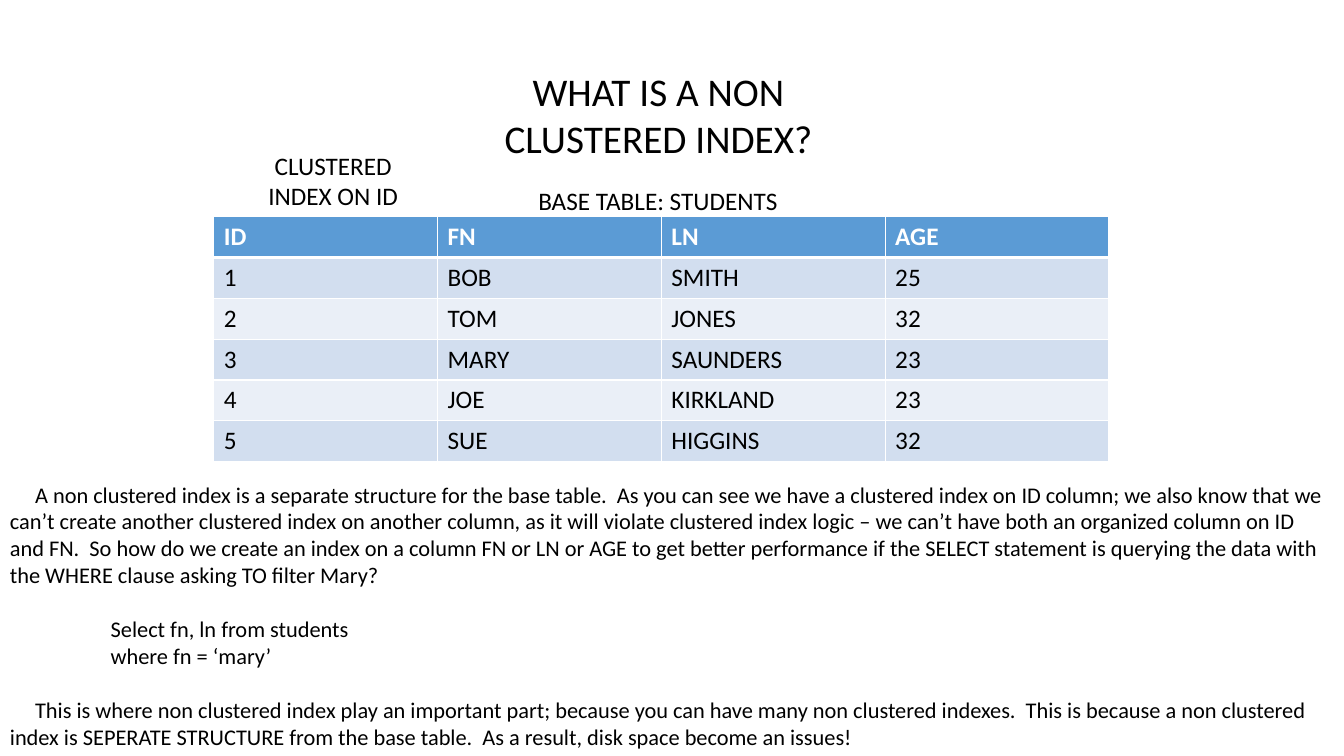
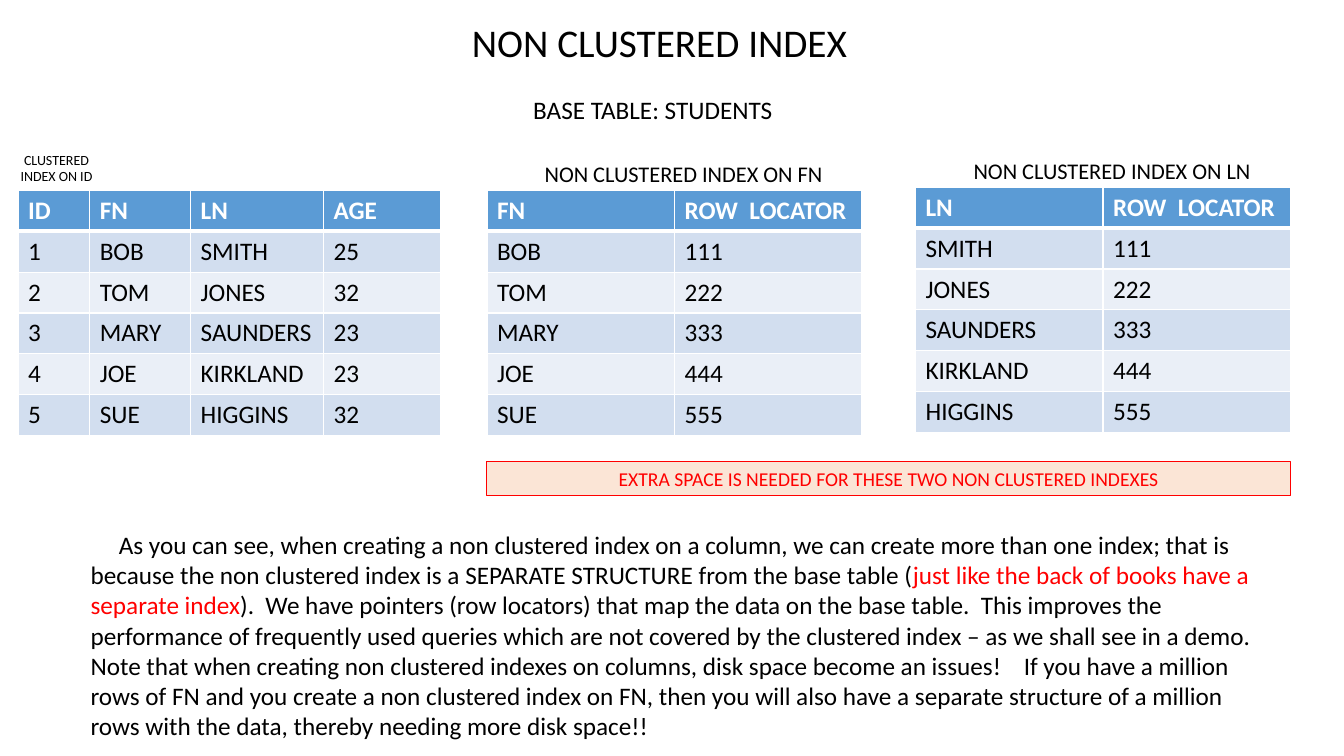
from dataclasses import dataclass

from lxml.etree import SubElement
from pptx import Presentation
from pptx.dml.color import RGBColor
from pptx.enum.shapes import MSO_SHAPE
from pptx.enum.text import MSO_ANCHOR, PP_ALIGN
from pptx.oxml.ns import qn
from pptx.util import Pt

PX = 9144  # 100 px to the inch
FONT = "Calibri"
BLACK = RGBColor(0x00, 0x00, 0x00)
WHITE = RGBColor(0xFF, 0xFF, 0xFF)
RED = RGBColor(0xFF, 0x00, 0x00)
PEACH = RGBColor(0xFB, 0xE5, 0xD6)
HEADER_BLUE = RGBColor(0x5B, 0x9B, 0xD5)
BANDS = (RGBColor(0xD2, 0xDE, 0xEF), RGBColor(0xEA, 0xEF, 0xF7))
ROW_HEIGHT = 41 * PX - PX // 2


@dataclass
class Paragraph:
    """Runs of (text, colour), with indents in px and space before in points."""
    runs: list
    left: int = 0
    first_line: int = 0
    before: float = 0


STUDENTS = [
    ("ID", "FN", "LN", "AGE"),
    ("1", "BOB", "SMITH", "25"),
    ("2", "TOM", "JONES", "32"),
    ("3", "MARY", "SAUNDERS", "23"),
    ("4", "JOE", "KIRKLAND", "23"),
    ("5", "SUE", "HIGGINS", "32"),
]
LOCATORS = ("ROW  LOCATOR", "111", "222", "333", "444", "555")

BASE_TABLE = "BASE TABLE: STUDENTS"
CLUSTERED = "CLUSTERED INDEX ON ID"
QUESTION = [
    Paragraph([(
        "A non clustered index is a separate structure for the base table.  As you can see we "
        "have a clustered index on ID column; we also know that we can’t create another "
        "clustered index on another column, as it will violate clustered index logic – we can’t "
        "have both an organized column on ID and FN.  So how do we create an index on a column "
        "FN or LN or AGE to get better performance if the SELECT statement is querying the data "
        "with the WHERE clause asking TO filter Mary?", BLACK)], first_line=25),
    Paragraph([("Select fn, ln from students", BLACK)], left=100, before=19.5),
    Paragraph([("where fn = ‘mary’", BLACK)], left=100),
    Paragraph([(
        "This is where non clustered index play an important part; because you can have many "
        "non clustered indexes.  This is because a non clustered index is SEPERATE STRUCTURE "
        "from the base table.  As a result, disk space become an issues!", BLACK)],
        first_line=25, before=19.5),
]
EXPLANATION = [Paragraph([
    ("As you can see, when creating a non clustered index on a column, we can create more than "
     "one index; that is because the non clustered index is a SEPARATE STRUCTURE from the base "
     "table (", BLACK),
    ("just like the back of books have a separate index", RED),
    (").  We have pointers (row locators) that map the data on the base table.  This improves "
     "the performance of frequently used queries which are not covered by the clustered index "
     "– as we shall see in a demo. Note that when creating non clustered indexes on columns, "
     "disk space become an issues!    If you have a million rows of FN and you create a non "
     "clustered index on FN, then you will also have a separate structure of a million rows "
     "with the data, thereby needing more disk space!!", BLACK)], first_line=28)]
SPACE_NOTE = "EXTRA SPACE IS NEEDED FOR THESE TWO NON CLUSTERED INDEXES"

# Column of STUDENTS that is indexed, left and top of its table
INDEXES = [(1, 483, 189), (2, 908, 186)]
INDEX_COLUMNS = (186, 186)


def write(frame, content, size=18, color=BLACK, bold=False, align=PP_ALIGN.LEFT):
    """Fill a text frame from a string or a list of Paragraphs."""
    if isinstance(content, str):
        content = [Paragraph([(content, color)])]
    frame.word_wrap = True
    for number, part in enumerate(content):
        paragraph = frame.add_paragraph() if number else frame.paragraphs[0]
        paragraph.alignment = align
        if part.before:
            paragraph.space_before = Pt(part.before)
        properties = paragraph._p.get_or_add_pPr()
        properties.set("marL", str(part.left * PX))
        properties.set("indent", str(part.first_line * PX))
        for text, run_color in part.runs:
            run = paragraph.add_run()
            run.text = text
            run.font.name = FONT
            run.font.size = Pt(size)
            run.font.bold = bold
            run.font.color.rgb = run_color


def add_text(slide, box, content, **text_format):
    textbox = slide.shapes.add_textbox(*(length * PX for length in box))
    write(textbox.text_frame, content, **text_format)


def add_title(slide, left, top, text):
    add_text(slide, (left, top, 430, 104), text, size=28, align=PP_ALIGN.CENTER)


def add_borders(cell, bottom):
    properties = cell._tc.get_or_add_tcPr()
    for side, width in (("L", 1), ("R", 1), ("T", 1), ("B", bottom)):
        line = SubElement(properties, qn(f"a:ln{side}"), w=str(Pt(width)))
        SubElement(SubElement(line, qn("a:solidFill")), qn("a:srgbClr"), val=str(WHITE))


def add_data_table(slide, left, top, column_widths, rows):
    table = slide.shapes.add_table(
        len(rows), len(column_widths), left * PX, top * PX,
        sum(column_widths) * PX, ROW_HEIGHT * len(rows)).table
    table.horz_banding = False
    for column, width in zip(table.columns, column_widths):
        column.width = width * PX
    for number, values in enumerate(rows):
        header = number == 0
        for cell, value in zip(table.rows[number].cells, values):
            add_borders(cell, bottom=3 if header else 1)
            cell.fill.solid()
            cell.fill.fore_color.rgb = HEADER_BLUE if header else BANDS[(number - 1) % 2]
            write(cell.text_frame, value, color=WHITE if header else BLACK, bold=header)


def add_note(slide, box, text):
    note = slide.shapes.add_shape(MSO_SHAPE.RECTANGLE, *(length * PX for length in box))
    note.shadow.inherit = False
    note.fill.solid()
    note.fill.fore_color.rgb = PEACH
    note.line.color.rgb = RED
    note.line.width = Pt(0.75)
    note.text_frame.vertical_anchor = MSO_ANCHOR.MIDDLE
    write(note.text_frame, text, size=14, color=RED, align=PP_ALIGN.CENTER)


def build_question(slide):
    add_title(slide, 438, 62, "WHAT IS A NON CLUSTERED INDEX?")
    add_data_table(slide, 212, 215, (222,) * 4, STUDENTS)
    add_text(slide, (239, 144, 183, 71), CLUSTERED, align=PP_ALIGN.CENTER)
    add_text(slide, (0, 472, 1333, 279), QUESTION, size=16)
    add_text(slide, (524, 179, 285, 40), BASE_TABLE)


def build_index_tables(slide):
    add_title(slide, 439, 13, "NON CLUSTERED INDEX")
    add_text(slide, (519, 89, 285, 40), BASE_TABLE)
    add_data_table(slide, 18, 189, (71, 100, 132, 116), STUDENTS)
    add_text(slide, (-1, 145, 114, 44), CLUSTERED, size=10, align=PP_ALIGN.CENTER)
    for column, left, top in INDEXES:
        keys = [student[column] for student in STUDENTS]
        add_text(slide, (left + 36, top - 35, 318, 37),
                 f"NON CLUSTERED INDEX ON {keys[0]}", size=16, align=PP_ALIGN.CENTER)
        add_data_table(slide, left, top, INDEX_COLUMNS, list(zip(keys, LOCATORS)))
    note_left, note_right = INDEXES[0][1], INDEXES[-1][1] + sum(INDEX_COLUMNS)
    add_note(slide, (note_left, 458, note_right - note_left, 34), SPACE_NOTE)
    add_text(slide, (80, 520, 1195, 252), EXPLANATION)


def main():
    deck = Presentation()
    deck.slide_width, deck.slide_height = 1333 * PX, 750 * PX
    blank = deck.slide_layouts[6]
    for build in (build_question, build_index_tables):
        build(deck.slides.add_slide(blank))
    deck.save("out.pptx")


if __name__ == "__main__":
    main()
